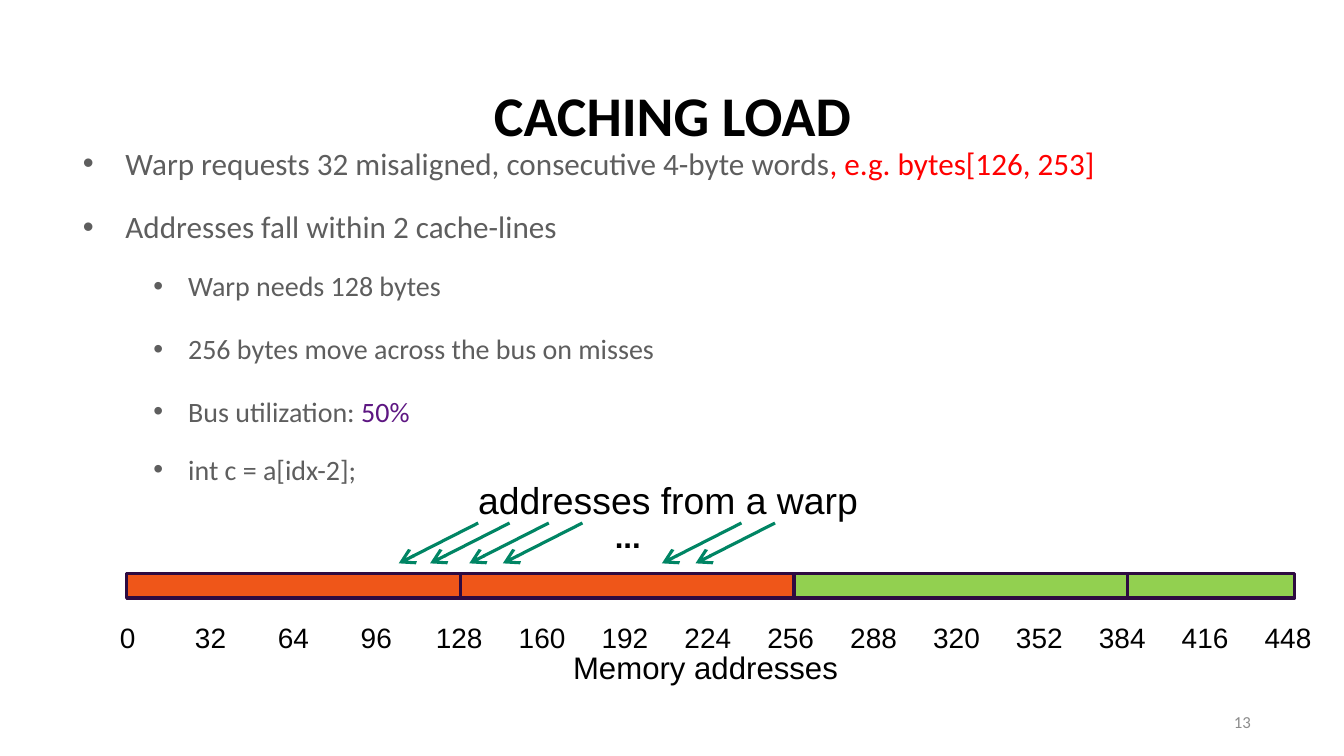
from lxml import etree
from pptx import Presentation
from pptx.dml.color import RGBColor
from pptx.enum import shapes, text
from pptx.oxml import ns
from pptx.util import Inches, Pt

BLACK = RGBColor(0x00, 0x00, 0x00)
GREY = RGBColor(0x5E, 0x5E, 0x5E)
PALE_GREY = RGBColor(0x8C, 0x8C, 0x8C)
RED = RGBColor(0xFF, 0x00, 0x00)
VIOLET = RGBColor(0x5D, 0x16, 0x82)
OUTLINE = RGBColor(0x2E, 0x0B, 0x41)
ORANGE = RGBColor(0xEF, 0x56, 0x19)
LIME = RGBColor(0x92, 0xD0, 0x50)
TEAL = RGBColor(0x00, 0x85, 0x64)


def write(paragraph, words, size=18, color=BLACK, font="Arial", bold=False,
          align=text.PP_ALIGN.LEFT, margin=0, hanging=0, bullet=None,
          before=0, spacing=1.0):
    """Format a paragraph and add its words, given as text or (text, color) pairs."""
    paragraph.alignment = align
    paragraph.space_before = Pt(before)
    paragraph.line_spacing = spacing
    properties = paragraph._p.get_or_add_pPr()
    properties.set("marL", str(Inches(margin)))
    properties.set("indent", str(Inches(-hanging)))
    if bullet:
        etree.SubElement(properties, ns.qn("a:buFont"), typeface="Arial")
        etree.SubElement(properties, ns.qn("a:buChar"), char=bullet)
    else:
        etree.SubElement(properties, ns.qn("a:buNone"))
    for part, part_color in [(words, color)] if isinstance(words, str) else words:
        run = paragraph.add_run()
        run.text = part
        run.font.name = font
        run.font.size = Pt(size)
        run.font.bold = bold
        run.font.color.rgb = part_color


def frame(shape, left, top, width, height, anchor=text.MSO_ANCHOR.TOP):
    """Place a text shape, remove its margins and return its text frame."""
    shape.left, shape.top = Inches(left), Inches(top)
    shape.width, shape.height = Inches(width), Inches(height)
    text_frame = shape.text_frame
    text_frame.word_wrap = True
    text_frame.auto_size = text.MSO_AUTO_SIZE.NONE
    text_frame.vertical_anchor = anchor
    text_frame.margin_left = text_frame.margin_right = text_frame.margin_bottom = 0
    text_frame.margin_top = Inches(0.01)
    return text_frame


presentation = Presentation()
presentation.slide_width = Inches(12)
presentation.slide_height = Inches(6.75)
slide = presentation.slides.add_slide(presentation.slide_layouts[1])

# Title
title = frame(slide.shapes.title, 0.83, 0.7, 10.35, 0.62, text.MSO_ANCHOR.MIDDLE)
write(title.paragraphs[0], "CACHING LOAD", size=36, font="Calibri", bold=True,
      align=text.PP_ALIGN.CENTER)

# Slide number
number = frame(slide.shapes.add_textbox(0, 0, 0, 0), 8.47, 6.26, 2.7, 0.36,
               text.MSO_ANCHOR.MIDDLE)
write(number.paragraphs[0], "13", size=10.8, color=PALE_GREY, font="Calibri",
      align=text.PP_ALIGN.RIGHT)

# Bullets: level, space before, line spacing, words
bullets = [
    (0, 0, 1.0, [("Warp requests 32 misaligned, consecutive 4-byte words", GREY),
                 (", e.g. bytes[126, 253]", RED)]),
    (0, 16.6, 1.0, "Addresses fall within 2 cache-lines"),
    (1, 15.4, 1.0, "Warp needs 128 bytes"),
    (1, 1.2, 1.81, "256 bytes move across the bus on misses"),
    (1, 1.2, 1.81, [("Bus utilization: ", GREY), ("50%", VIOLET)]),
    (1, 15.8, 1.0, "int c = a[idx-2];"),
]
body = frame(slide.placeholders[1], 0.73, 1.28, 9.85, 3.72)
for index, (level, before, spacing, words) in enumerate(bullets):
    paragraph = body.add_paragraph() if index else body.paragraphs[0]
    paragraph.level = level
    write(paragraph, words, size=(20, 18)[level], color=GREY, font="Calibri",
          margin=(0.39, 0.95)[level], hanging=(0.38, 0.31)[level], bullet="•",
          before=before, spacing=spacing)

# Caption above the arrows
write(body.add_paragraph(), "addresses from a warp", size=24, margin=3.54,
      before=1.3, spacing=Pt(21.5))
write(body.add_paragraph(), "...", size=20, bold=True, margin=4.76, spacing=Pt(21.5))

# Memory bar: cache lines of 128 bytes, the last one cut off
LINE_WIDTH = 2.98
for index, color in enumerate([ORANGE, ORANGE, LIME, LIME]):
    left = 1.13 + index * LINE_WIDTH
    width = min(LINE_WIDTH, 11.56 - left)
    cache_line = slide.shapes.add_shape(shapes.MSO_SHAPE.RECTANGLE, Inches(left),
                                        Inches(5.12), Inches(width), Inches(0.22))
    cache_line.shadow.inherit = False
    cache_line.fill.solid()
    cache_line.fill.fore_color.rgb = color
    cache_line.line.color.rgb = OUTLINE
    cache_line.line.width = Pt(2)

# Arrows from the warp to its addresses
for tip in (3.56, 3.84, 4.19, 4.49, 5.91, 6.21):
    arrow = slide.shapes.add_connector(shapes.MSO_CONNECTOR.STRAIGHT, Inches(tip + 0.71),
                                       Inches(4.67), Inches(tip), Inches(5.03))
    arrow.line.color.rgb = TEAL
    arrow.line.width = Pt(2)
    etree.SubElement(arrow.line._get_or_add_ln(), ns.qn("a:tailEnd"),
                     type="arrow", w="lg", len="lg")
    etree.SubElement(arrow._element.spPr, ns.qn("a:effectLst"))

# Address scale: one centred label every 32 bytes
LABEL_STEP = 0.74
LABEL_WIDTH = 0.6
for index in range(15):
    center = 1.14 + index * LABEL_STEP
    label = frame(slide.shapes.add_textbox(0, 0, 0, 0), center - LABEL_WIDTH / 2, 5.54,
                  LABEL_WIDTH, 0.3)
    write(label.paragraphs[0], str(32 * index), align=text.PP_ALIGN.CENTER,
          spacing=Pt(20.8))

# Axis name
axis_name = frame(slide.shapes.add_textbox(0, 0, 0, 0), 4.8, 5.82, 3, 0.3)
write(axis_name.paragraphs[0], "Memory addresses", size=20,
      align=text.PP_ALIGN.CENTER, spacing=Pt(20.8))

presentation.save("out.pptx")
